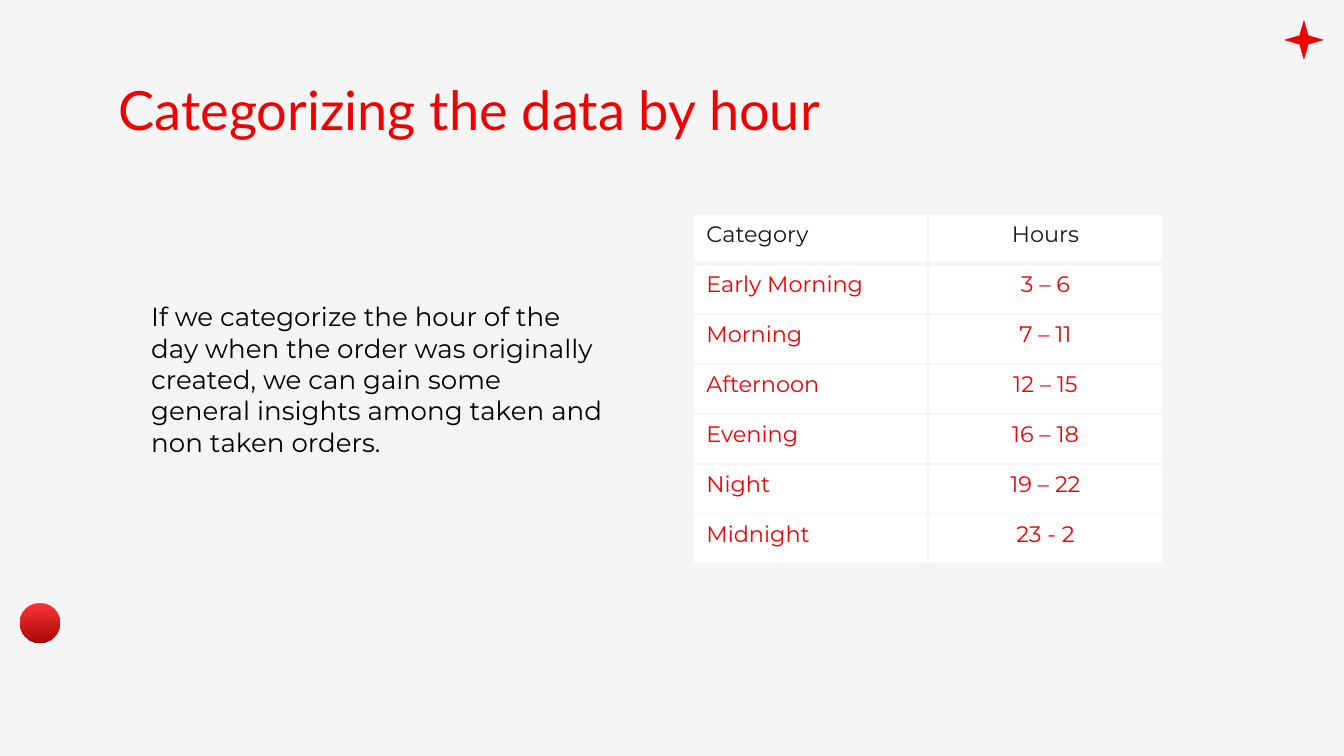
import pptx
import pptx.dml.color
import pptx.enum.shapes
import pptx.enum.text
import pptx.oxml
import pptx.oxml.ns
import pptx.util

PX = 914400 / 134.4  # EMU in one px
COLORS = {
    "background": "F5F5F5",
    "red": "F00101",
    "bright red": "FE3535",
    "dark red": "A90707",
    "header": "181818",
    "black": "000000",
    "white": "FFFFFF",
}
HOURS = [
    ("Category", "Hours"),
    ("Early Morning", "3 – 6"),
    ("Morning", "7 – 11"),
    ("Afternoon", "12 – 15"),
    ("Evening", "16 – 18"),
    ("Night", "19 – 22"),
    ("Midnight", "23 - 2"),
]
EXPLANATION = (
    "If we categorize the hour of the day when the order was originally "
    "created, we can gain some general insights among taken and non taken orders."
)
ALIGN = pptx.enum.text.PP_ALIGN
SHAPES = pptx.enum.shapes.MSO_SHAPE


def px(*lengths):
    return [pptx.util.Emu(round(length * PX)) for length in lengths]


def color(name):
    return pptx.dml.color.RGBColor.from_string(COLORS[name])


def set_attributes(target, values):
    for name, value in values.items():
        setattr(target, name, value)


def write(text_frame, text, font_name, size, color_name, align=ALIGN.LEFT):
    paragraph = text_frame.paragraphs[0]
    paragraph.alignment = align
    run = paragraph.add_run()
    run.text = text
    set_attributes(run.font, {"name": font_name, "size": pptx.util.Pt(size), "bold": False})
    run.font.color.rgb = color(color_name)


def add_title(slide, text, box):
    title = slide.shapes.title
    set_attributes(title, dict(zip(("left", "top", "width", "height"), px(*box))))
    margin = pptx.util.Inches(0.1)
    set_attributes(title.text_frame, {
        "margin_left": margin,
        "margin_top": margin,
        "margin_right": margin,
        "margin_bottom": margin,
        "vertical_anchor": pptx.enum.text.MSO_ANCHOR.TOP,
        "auto_size": pptx.enum.text.MSO_AUTO_SIZE.NONE,
        "word_wrap": True,
    })
    write(title.text_frame, text, "Lato", 29, "red")


def add_text(slide, text, box):
    text_frame = slide.shapes.add_textbox(*px(*box)).text_frame
    set_attributes(text_frame, {
        "word_wrap": True,
        "auto_size": pptx.enum.text.MSO_AUTO_SIZE.SHAPE_TO_FIT_TEXT,
    })
    write(text_frame, text, "Montserrat", 14, "black")


def add_ornament(slide, kind, box):
    shape = slide.shapes.add_shape(kind, *px(*box))
    shape.shadow.inherit = False
    shape.line.fill.background()
    return shape


def set_borders(cell, widths):
    properties = cell._tc.get_or_add_tcPr()
    # Border lines come before the fill in the cell properties
    for index, (side, points) in enumerate(widths.items()):
        properties.insert(index, pptx.oxml.parse_xml(
            f'<a:{side} {pptx.oxml.ns.nsdecls("a")} w="{pptx.util.Pt(points)}"><a:solidFill>'
            f'<a:srgbClr val="{COLORS["background"]}"/></a:solidFill></a:{side}>'
        ))


def add_hours_table(slide, box):
    frame = slide.shapes.add_table(len(HOURS), len(HOURS[0]), *px(*box))
    table = frame.table
    table.horz_banding = False
    for row_index, row in enumerate(HOURS):
        is_header = row_index == 0
        for column_index, text in enumerate(row):
            cell = table.cell(row_index, column_index)
            cell.fill.solid()
            cell.fill.fore_color.rgb = color("white")
            set_borders(cell, {"lnL": 1, "lnR": 1, "lnT": 1, "lnB": 3 if is_header else 1})
            write(cell.text_frame, text, "Montserrat", 12,
                  "header" if is_header else "red",
                  ALIGN.CENTER if column_index else ALIGN.LEFT)


def main():
    presentation = pptx.Presentation()
    presentation.slide_width, presentation.slide_height = px(1344, 756)
    slide = presentation.slides.add_slide(presentation.slide_layouts.get_by_name("Title Only"))
    slide.background.fill.solid()
    slide.background.fill.fore_color.rgb = color("background")

    # Corner ornaments
    ball = add_ornament(slide, SHAPES.OVAL, (20, 603, 40, 40))
    ball.fill.gradient()
    ball.fill.gradient_angle = 270
    for stop, position, name in zip(ball.fill.gradient_stops, (0, 1), ("bright red", "dark red")):
        stop.position = position
        stop.color.rgb = color(name)
    star = add_ornament(slide, SHAPES.STAR_4_POINT, (1284, 20, 40, 40))
    star.adjustments[0] = 0.16
    star.fill.solid()
    star.fill.fore_color.rgb = color("red")

    # Title, table and explanation
    add_title(slide, "Categorizing the data by hour", (105, 63, 1134, 69))
    add_hours_table(slide, (693, 214, 470, 350))
    add_text(slide, EXPLANATION, (138, 294, 480, 172))

    presentation.save("out.pptx")


if __name__ == "__main__":
    main()
